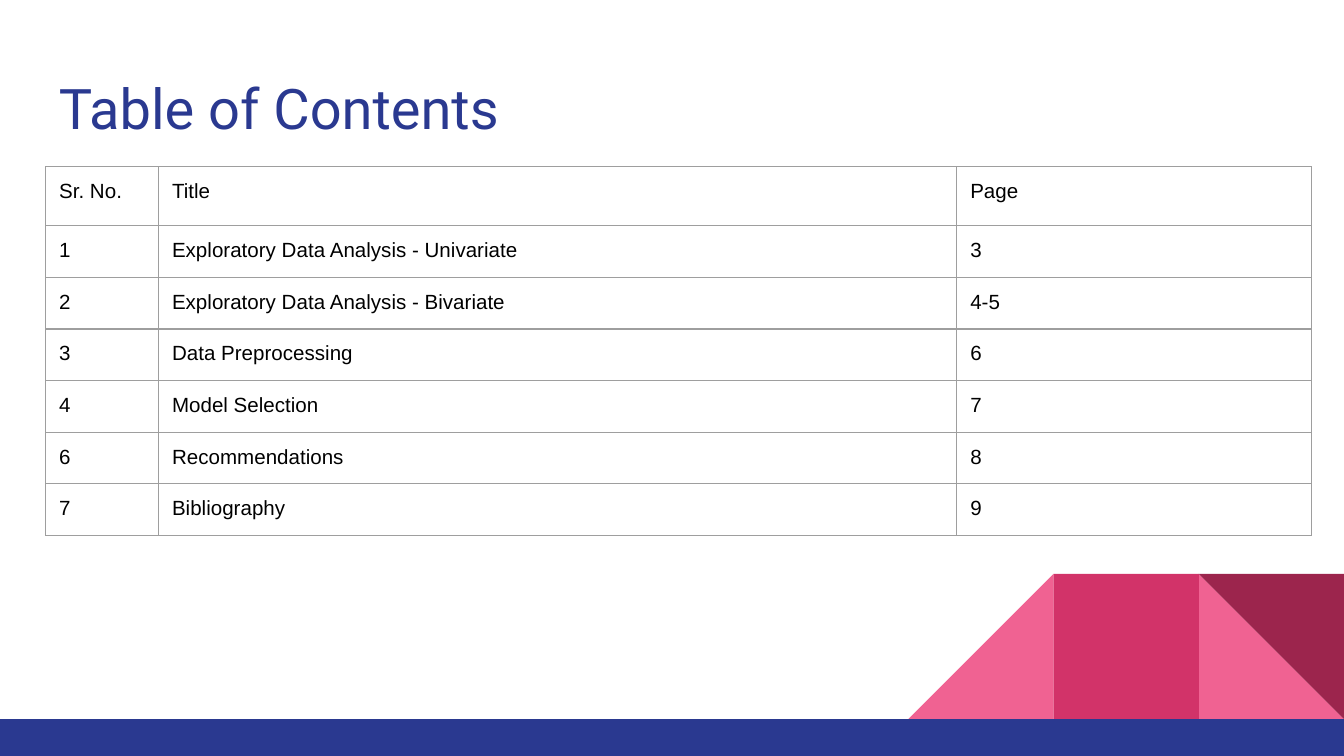
from pptx import Presentation
from pptx.dml.color import RGBColor
from pptx.enum import shapes, text
from pptx.oxml import parse_xml
from pptx.oxml.ns import nsdecls
from pptx.util import Inches, Pt

NAVY = RGBColor(0x2A, 0x39, 0x90)
PINK = RGBColor(0xF0, 0x62, 0x92)
ROSE = RGBColor(0xD2, 0x33, 0x69)
WINE = RGBColor(0x9C, 0x25, 0x4D)
GREY = RGBColor(0x9E, 0x9E, 0x9E)
BLACK = RGBColor(0, 0, 0)

HEADING = "Table of Contents"
CONTENTS = [
    ("Sr. No.", "Title", "Page"),
    ("1", "Exploratory Data Analysis - Univariate", "3"),
    ("2", "Exploratory Data Analysis - Bivariate", "4-5"),
    ("3", "Data Preprocessing", "6"),
    ("4", "Model Selection", "7"),
    ("6", "Recommendations", "8"),
    ("7", "Bibliography", "9"),
]
COLUMNS = (0.84, 5.94, 2.64)
# Minimum heights; rows grow to fit their text
ROWS = (0.44, 0.36, 0.33, 0.29, 0.25, 0.27, 0.27)

WIDTH = 10
HEIGHT = WIDTH * 9 / 16
MARGIN = 0.34
TILE = 1.08
BAND_TOP = 5.35
TRIANGLE = shapes.MSO_SHAPE.RIGHT_TRIANGLE
RECTANGLE = shapes.MSO_SHAPE.RECTANGLE
# Tiles: columns counted from the right edge, preset, colour, rotation, mirrored
TILES = [
    (1, TRIANGLE, PINK, 0, False),
    (3, TRIANGLE, PINK, 0, True),
    (2, RECTANGLE, ROSE, 0, False),
    (1, TRIANGLE, WINE, 180, False),
]

deck = Presentation()
deck.slide_width, deck.slide_height = Inches(WIDTH), Inches(HEIGHT)
slide = deck.slides.add_slide(deck.slide_layouts[6])


def add_block(preset, color, *box):
    block = slide.shapes.add_shape(preset, *map(Inches, box))
    block.shadow.inherit = False
    block.fill.solid()
    block.fill.fore_color.rgb = color
    block.line.fill.background()
    return block


def write(frame, words, font, size, color):
    run = frame.paragraphs[0].add_run()
    run.text = words
    run.font.name, run.font.size = font, Pt(size)
    run.font.color.rgb = color


def set_insets(box):
    box.margin_left = box.margin_right = Inches(0.1)
    box.margin_top = box.margin_bottom = Inches(0.1)


def add_borders(cell):
    properties = cell._tc.get_or_add_tcPr()
    for place, side in enumerate(("lnL", "lnR", "lnT", "lnB")):
        properties.insert(place, parse_xml(
            f'<a:{side} {nsdecls("a")} w="{Pt(0.75)}"><a:solidFill>'
            f'<a:srgbClr val="{GREY}"/></a:solidFill></a:{side}>'))


# Corner tiles and bottom band
for column, preset, color, rotation, mirrored in TILES:
    tile = add_block(preset, color, WIDTH - column * TILE, BAND_TOP - TILE, TILE, TILE)
    tile.rotation = rotation
    if mirrored:
        tile._element.spPr.xfrm.set("flipH", "1")
add_block(RECTANGLE, NAVY, 0, BAND_TOP, WIDTH, HEIGHT - BAND_TOP)

# Heading
heading = slide.shapes.add_textbox(
    Inches(MARGIN), Inches(0.45), Inches(WIDTH - 2 * MARGIN), Inches(0.66)).text_frame
heading.word_wrap = True
heading.vertical_anchor = text.MSO_ANCHOR.TOP
set_insets(heading)
write(heading, HEADING, "Roboto", 30, NAVY)

# Contents table
contents = slide.shapes.add_table(
    len(ROWS), len(COLUMNS), Inches(MARGIN), Inches(1.24),
    Inches(sum(COLUMNS)), Inches(sum(ROWS))).table
contents.first_row = contents.horz_banding = False
for column, width in zip(contents.columns, COLUMNS):
    column.width = Inches(width)
for row, height, entries in zip(contents.rows, ROWS, CONTENTS):
    row.height = Inches(height)
    for cell, entry in zip(row.cells, entries):
        set_insets(cell)
        cell.fill.background()
        add_borders(cell)
        write(cell.text_frame, entry, "Arial", 11, BLACK)

deck.save("out.pptx")
